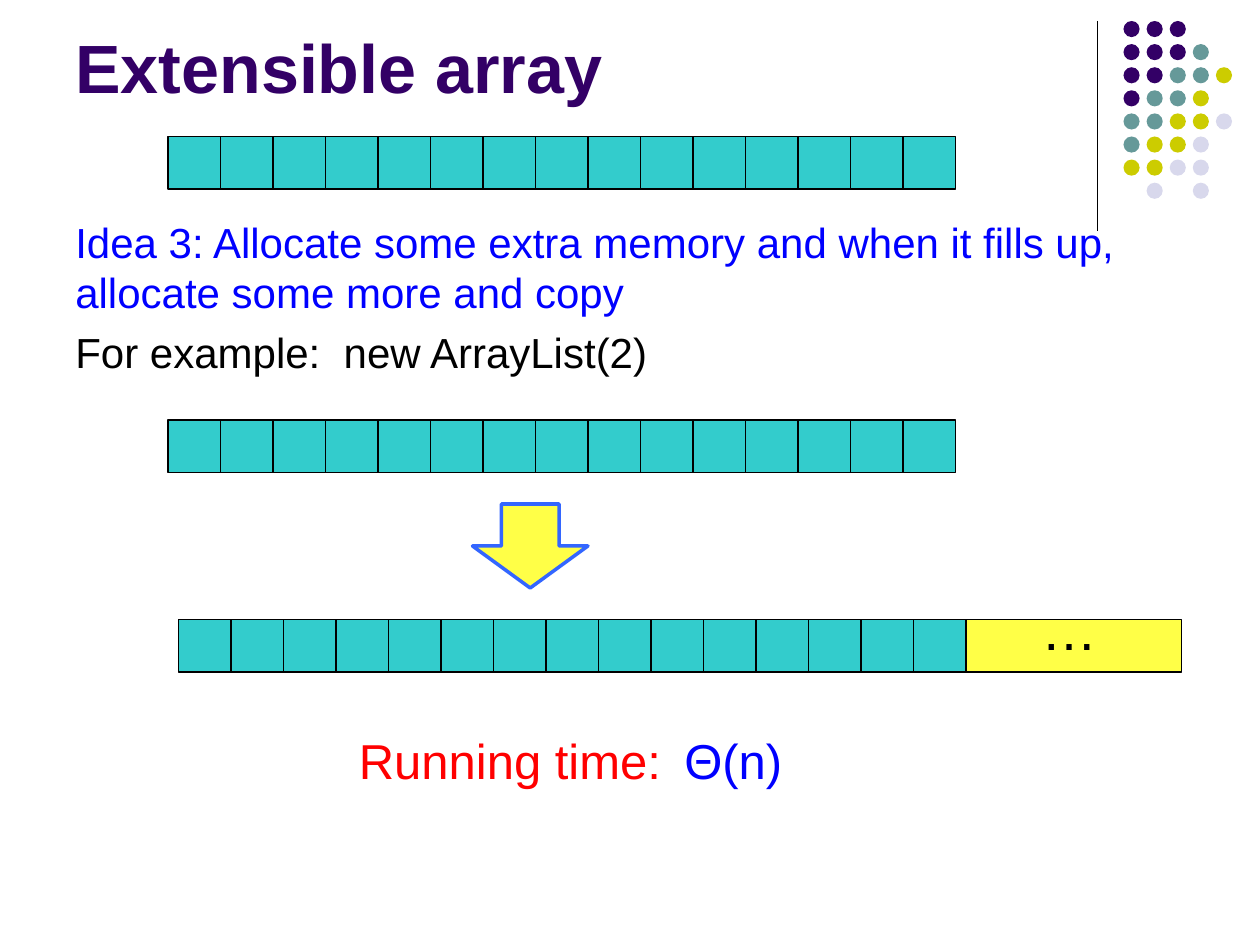
"""Build the slide on growing an extensible array."""
from lxml import etree
from pptx import Presentation
from pptx.dml.color import RGBColor
from pptx.enum.shapes import MSO_CONNECTOR, MSO_SHAPE
from pptx.enum.text import MSO_ANCHOR
from pptx.oxml.ns import qn
from pptx.util import Pt

LINE = MSO_CONNECTOR.STRAIGHT
RECT, OVAL, DOWN = MSO_SHAPE.RECTANGLE, MSO_SHAPE.OVAL, MSO_SHAPE.DOWN_ARROW
TOP, BOTTOM = MSO_ANCHOR.TOP, MSO_ANCHOR.BOTTOM

COLORS = {
    "purple": "330066", "slate": "669999", "olive": "CCCC00", "pale": "D8D8EC",
    "teal": "33CCCC", "yellow": "FFFF47", "edge": "3366FF",
    "black": "000000", "blue": "0000FF", "red": "FF0000",
}
RGB = {name: RGBColor.from_string(value) for name, value in COLORS.items()}


def add_box(shapes, kind, box, fill, line=None, width=0.75):
    sp = shapes.add_shape(kind, *map(Pt, box))
    sp.shadow.inherit = False
    sp.fill.solid()
    sp.fill.fore_color.rgb = RGB[fill]
    if line:
        sp.line.color.rgb = RGB[line]
        sp.line.width = Pt(width)
    else:
        sp.line.fill.background()


def add_rule(shapes, x, top, bottom):
    cx = shapes.add_connector(LINE, Pt(x), Pt(top), Pt(x), Pt(bottom))
    cx.line.color.rgb = RGB["black"]
    cx.line.width = Pt(0.75)
    etree.SubElement(cx._element.spPr, qn("a:effectLst"))


prs = Presentation()
prs.slide_width, prs.slide_height = Pt(720), Pt(540)
s = prs.slides.add_slide(prs.slide_layouts[6])

add_rule(s.shapes, 627, 12, 132)

DOTS = ["PPP", "PPPS", "PPSSO", "PSSO", "SSOOL", "SOOL", "OOLL", " L L"]
DOT_COLORS = {"P": "purple", "S": "slate", "O": "olive", "L": "pale"}
DOT, DOT_STEP = 9.2, 13.2
dots = s.shapes.add_group_shape().shapes
for row, letters in enumerate(DOTS):
    for col, letter in enumerate(letters):
        if letter in DOT_COLORS:
            box = (642 + col * DOT_STEP, 12 + row * DOT_STEP, DOT, DOT)
            add_box(dots, OVAL, box, DOT_COLORS[letter])

CELL, COUNT = 30, 15
for left, top in [(96, 78), (96, 240), (102, 354)]:
    cells = s.shapes.add_group_shape().shapes
    add_box(cells, RECT, (left, top, CELL * COUNT, CELL), "teal", "black")
    for i in range(1, COUNT):
        add_rule(cells, left + i * CELL, top, top + CELL)

add_box(s.shapes, RECT, (552, 354, 123, CELL), "yellow", "black")
add_box(s.shapes, DOWN, (270, 288, 66, 48), "yellow", "edge", 2)

TEXTS = [
    ((36, 9, 594, 56), BOTTOM, 39, True, [("Extensible array", "purple")]),
    ((36, 120, 654, 140), TOP, 24, False, [
        ("Idea 3: Allocate some extra memory and when it fills up, "
         "allocate some more and copy", "blue"),
        ("For example:  new ArrayList(2)", "black")]),
    ((588, 336, 54, 46), TOP, 32, False, [("…", "black")]),
    ((198, 414, 192, 41), TOP, 28, False, [("Running time:", "red")]),
    ((384, 414, 72, 41), TOP, 28, False, [("Θ(n)", "blue")]),
]
for box, anchor, size, bold, lines in TEXTS:
    tf = s.shapes.add_textbox(*map(Pt, box)).text_frame
    tf.word_wrap = True
    tf.vertical_anchor = anchor
    for i, (text, color) in enumerate(lines):
        p = tf.add_paragraph() if i else tf.paragraphs[0]
        p.space_before = Pt(5.5 if i else 0)
        r = p.add_run()
        r.text = text
        for key, value in {"name": "Arial", "size": Pt(size), "bold": bold}.items():
            setattr(r.font, key, value)
        r.font.color.rgb = RGB[color]

prs.save("out.pptx")
